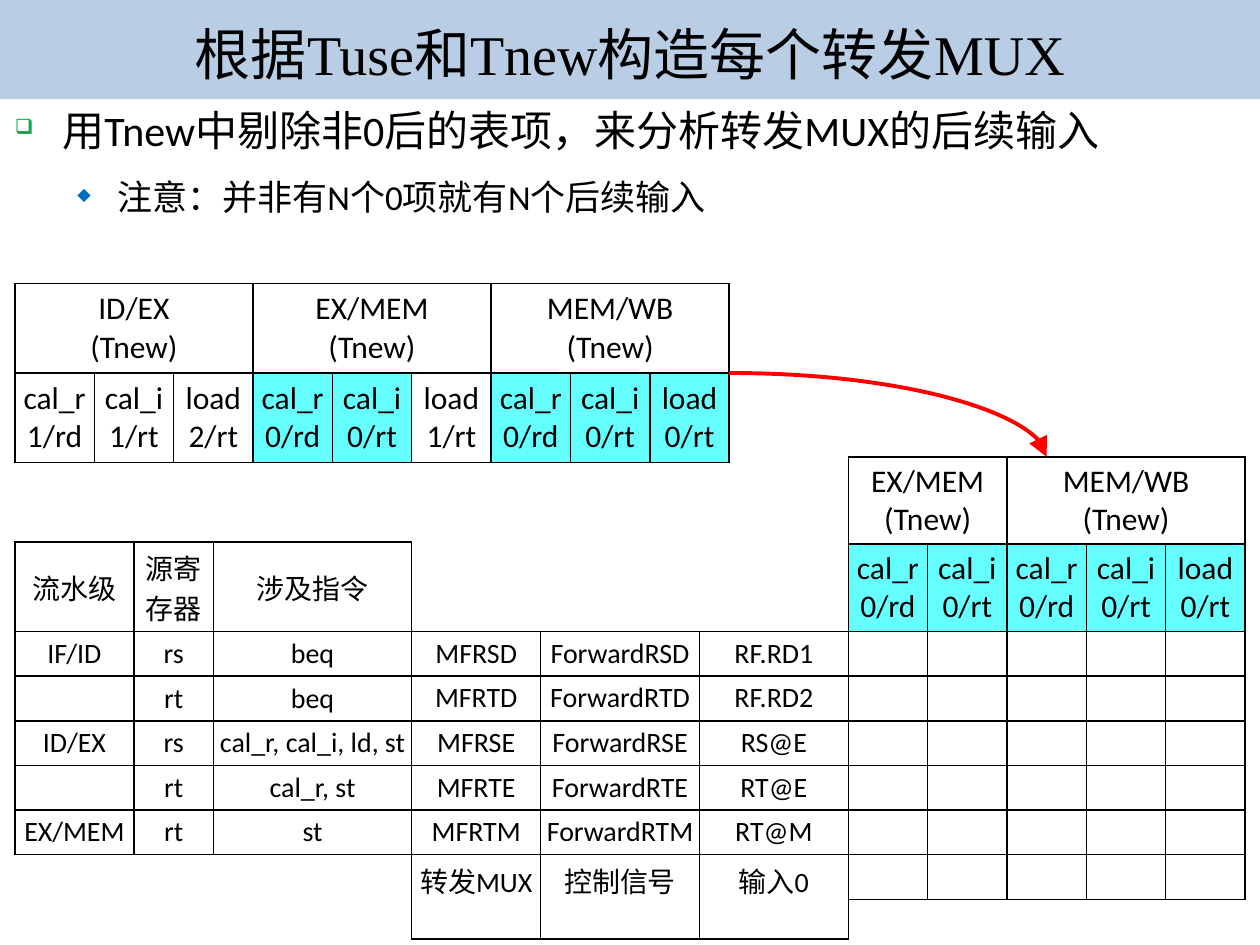
import lxml.etree
import pptx
import pptx.dml.color
import pptx.enum.shapes
import pptx.enum.text
import pptx.oxml.ns
import pptx.util

Cm = pptx.util.Cm
Pt = pptx.util.Pt
qn = pptx.oxml.ns.qn
ANCHOR = pptx.enum.text.MSO_ANCHOR
ALIGN = pptx.enum.text.PP_ALIGN

BLACK, WHITE, CYAN = "000000", "FFFFFF", "66FFFF"
COLUMN, ROW = 1.6, 0.9
LEFT, MIDDLE, RIGHT = 0.3, 8.3, 17.1
GRID_TOP = 12.73
PAGE_WIDTH, BAND_HEIGHT = 25.4, 2


def rgb(value):
    """Turn a hex string into a colour."""
    return pptx.dml.color.RGBColor.from_string(value)


def add_node(parent, tag, **attributes):
    """Append a drawing element with attributes."""
    node = lxml.etree.SubElement(parent, qn(tag))
    for name, value in attributes.items():
        node.set(name, str(value))
    return node


def write(para, text, size=16, font="Calibri", color=BLACK, align=ALIGN.LEFT):
    """Write formatted text into a paragraph."""
    para.alignment = align
    if not text:
        add_node(para._p, "a:endParaRPr", sz=size * 100)
        return
    span = para.add_run()
    span.text = text
    span.font.size = Pt(size)
    span.font.name = font
    span.font.color.rgb = rgb(color)


def set_insets(target, across, down):
    """Set the inner margins of a text frame or cell."""
    target.margin_left = target.margin_right = Cm(across)
    target.margin_top = target.margin_bottom = Cm(down)


def add_bullet(para, symbol, color, left, hang):
    """Give a paragraph a half-size coloured bullet and hanging indent."""
    para.space_before = Pt(12)
    properties = para._p.get_or_add_pPr()
    properties.set("marL", str(Cm(left)))
    properties.set("indent", str(-Cm(hang)))
    add_node(add_node(properties, "a:buClr"), "a:srgbClr", val=color)
    add_node(properties, "a:buSzPct", val=50000)
    add_node(properties, "a:buChar", char=symbol)


def add_borders(cell):
    """Draw a thin black line on each side of a cell."""
    properties = cell._tc.get_or_add_tcPr()
    for place, side in enumerate("LRTB"):
        line = add_node(properties, "a:ln" + side, w=Pt(1))
        add_node(add_node(line, "a:solidFill"), "a:srgbClr", val=BLACK)
        properties.insert(place, line)


def add_grid(page, left, top, widths, heights, rows, size=16,
             anchor=ANCHOR.MIDDLE, merges=()):
    """Place a bordered table; cells ending in a zero Tnew are highlighted."""
    box = page.shapes.add_table(len(heights), len(widths), Cm(left), Cm(top),
                                Cm(sum(widths)), Cm(sum(heights)))
    table = box.table
    table.first_row = table.horz_banding = False
    for column, width in zip(table.columns, widths):
        column.width = Cm(width)
    for row, height in zip(table.rows, heights):
        row.height = Cm(height)
    for row, texts in zip(table.rows, rows):
        for cell, text in zip(row.cells, texts):
            cell.fill.solid()
            cell.fill.fore_color.rgb = rgb(CYAN if "\n0/" in text else WHITE)
            cell.vertical_anchor = anchor
            set_insets(cell, 0.1, 0.1)
            add_borders(cell)
            for index, line in enumerate(text.split("\n")):
                frame = cell.text_frame
                para = frame.add_paragraph() if index else frame.paragraphs[0]
                write(para, line, size, align=ALIGN.CENTER)
    for first, last in merges:
        table.cell(0, first).merge(table.cell(0, last))


def add_title(page, left, top, width, height):
    """Place the title on its coloured band."""
    band = page.shapes.add_shape(pptx.enum.shapes.MSO_SHAPE.RECTANGLE,
                                 Cm(left), Cm(top), Cm(width), Cm(height))
    band.shadow.inherit = False
    band.fill.solid()
    band.fill.fore_color.rgb = rgb("B9CDE5")
    band.line.fill.background()
    box = page.shapes.add_textbox(Cm(left), Cm(top + 0.4), Cm(width), Cm(height - 0.64))
    frame = box.text_frame
    frame.word_wrap = True
    frame.vertical_anchor = ANCHOR.MIDDLE
    write(frame.paragraphs[0], "根据Tuse和Tnew构造每个转发MUX", 32,
          "Times New Roman", align=ALIGN.CENTER)


def add_points(page, left, top, width, height):
    """Place the main point and the note below it."""
    box = page.shapes.add_textbox(Cm(left), Cm(top), Cm(width), Cm(height))
    frame = box.text_frame
    frame.word_wrap = True
    set_insets(frame, 0, 0.1)
    point = frame.paragraphs[0]
    write(point, "用Tnew中剔除非0后的表项，来分析转发MUX的后续输入", 24)
    add_bullet(point, "❑", "00B050", 0.96, 0.96)
    note = frame.add_paragraph()
    note.level = 1
    write(note, "注意：并非有N个0项就有N个后续输入", 20)
    add_bullet(note, "◆", "0070C0", 2.06, 0.8)


def add_stage_grid(page, left, top, height, stages):
    """Place a table of pipeline stages with the entries under each."""
    headers, entries, merges = [], [], []
    for stage, items in stages:
        first = len(headers)
        headers += [stage + "\n(Tnew)"] + [""] * (len(items) - 1)
        entries += [item.replace(" ", "\n") for item in items]
        merges.append((first, len(headers) - 1))
    add_grid(page, left, top, [COLUMN] * len(headers), [height] * 2,
             [headers, entries], 18, merges=merges)


def add_source_grid(page, left, top):
    """Place the table of source registers and instructions."""
    rows = [("流水级", "源寄存器", "涉及指令"),
            ("IF/ID", "rs", "beq"),
            ("", "rt", "beq"),
            ("ID/EX", "rs", "cal_r, cal_i, ld, st"),
            ("", "rt", "cal_r, st"),
            ("EX/MEM", "rt", "st")]
    add_grid(page, left, top, [2.4, COLUMN, 4], [2 * ROW] + [ROW] * 5, rows)


def add_forward_grid(page, left, top):
    """Place the table of forwarding units, with a taller row of labels last."""
    inputs = {"RSD": "RF.RD1", "RTD": "RF.RD2", "RSE": "RS@E",
              "RTE": "RT@E", "RTM": "RT@M"}
    rows = [("MF" + name, "Forward" + name, source) for name, source in inputs.items()]
    rows.append(("转发MUX", "控制信号", "输入0"))
    add_grid(page, left, top, [2.6, 3.2, 3], [ROW] * 5 + [1.7], rows, anchor=ANCHOR.TOP)


def add_curve(page, left, top, right, bottom):
    """Draw the red curved arrow between the stage tables."""
    curve = page.shapes.add_connector(pptx.enum.shapes.MSO_CONNECTOR.CURVE,
                                      Cm(left), Cm(top), Cm(right), Cm(bottom))
    curve.line.color.rgb = rgb("FF0000")
    curve.line.width = Pt(2.25)
    properties = curve._element.spPr
    properties.find(qn("a:prstGeom")).set("prst", "curvedConnector2")
    add_node(properties.find(qn("a:ln")), "a:tailEnd", type="triangle", w="lg", len="lg")
    add_node(properties, "a:effectLst")


def main():
    """Build the slide and save it."""
    deck = pptx.Presentation()
    deck.slide_width, deck.slide_height = Cm(PAGE_WIDTH), Cm(19.05)
    page = deck.slides.add_slide(deck.slide_layouts[6])
    add_title(page, 0, 0, PAGE_WIDTH, BAND_HEIGHT)
    add_points(page, LEFT, BAND_HEIGHT, PAGE_WIDTH - 2 * LEFT, 2.51)
    ready = ["cal_r 0/rd", "cal_i 0/rt", "load 0/rt"]
    add_source_grid(page, LEFT, GRID_TOP - 2 * ROW)
    add_forward_grid(page, MIDDLE, GRID_TOP)
    add_stage_grid(page, RIGHT, 9.21, 1.76, [("EX/MEM", ready[:2]), ("MEM/WB", ready)])
    add_stage_grid(page, LEFT, 5.72, 2 * ROW, [
        ("ID/EX", ["cal_r 1/rd", "cal_i 1/rt", "load 2/rt"]),
        ("EX/MEM", ready[:2] + ["load 1/rt"]),
        ("MEM/WB", ready)])
    add_grid(page, RIGHT, GRID_TOP, [COLUMN] * 5, [ROW] * 6, [[""] * 5] * 6)
    add_curve(page, LEFT + 9 * COLUMN, 7.52, RIGHT + 2.5 * COLUMN, 9.21)
    deck.save("out.pptx")


if __name__ == "__main__":
    main()
